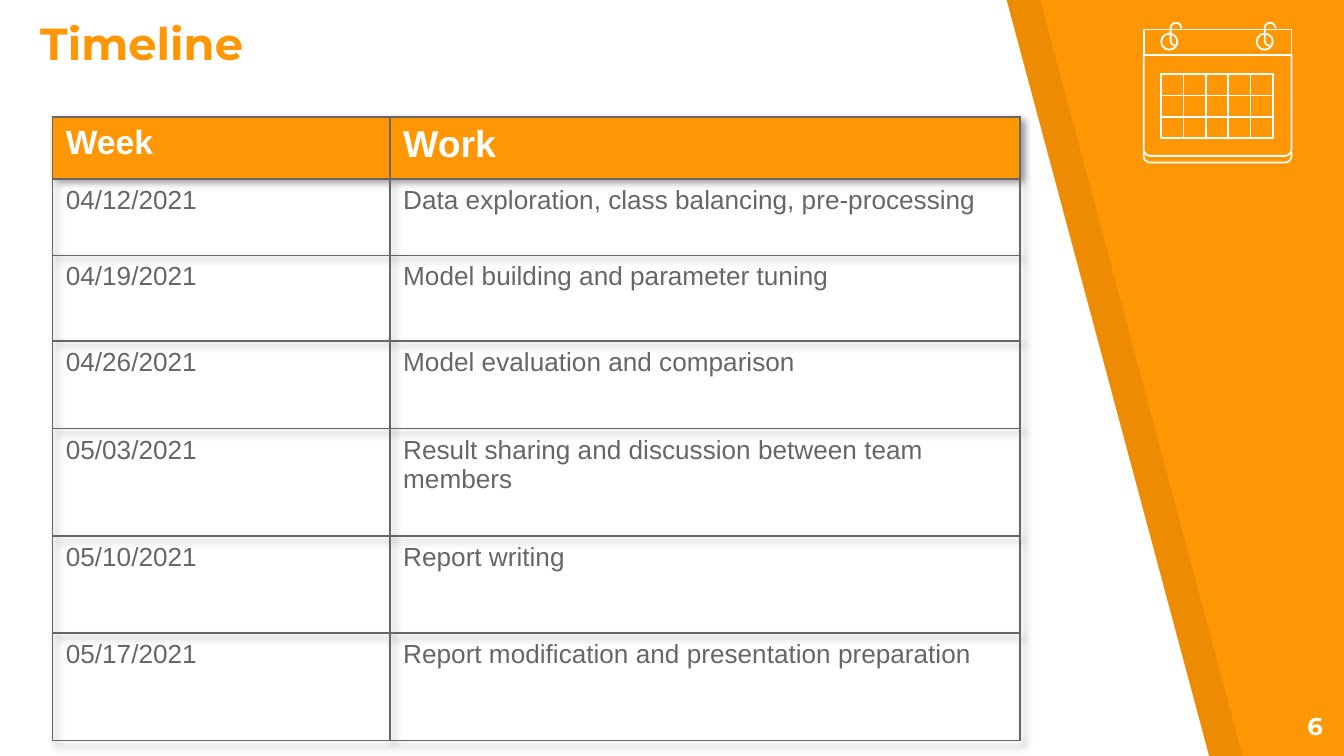
import math

import pptx
import pptx.dml.color
import pptx.enum.shapes
import pptx.enum.text
import pptx.oxml
import pptx.oxml.ns
import pptx.util

Inches, Pt = pptx.util.Inches, pptx.util.Pt
RGBColor = pptx.dml.color.RGBColor
MSO_SHAPE = pptx.enum.shapes.MSO_SHAPE
STRAIGHT = pptx.enum.shapes.MSO_CONNECTOR.STRAIGHT
ANCHOR = pptx.enum.text.MSO_ANCHOR
ALIGN = pptx.enum.text.PP_ALIGN

TITLE = "Timeline"
PAGE_NUMBER = "6"
HEADER = (("Week", 18), ("Work", 20))
SCHEDULE = [
    ("04/12/2021", "Data exploration, class balancing, pre-processing"),
    ("04/19/2021", "Model building and parameter tuning"),
    ("04/26/2021", "Model evaluation and comparison"),
    ("05/03/2021", "Result sharing and discussion between team members"),
    ("05/10/2021", "Report writing"),
    ("05/17/2021", "Report modification and presentation preparation"),
]
COLUMN_WIDTHS = (2.51, 4.69)
ROW_HEIGHTS = (0.46, 0.57, 0.64, 0.65, 0.8, 0.72, 0.8)

ORANGE = RGBColor(0xFF, 0x97, 0x04)
WHITE = RGBColor(0xFF, 0xFF, 0xFF)
BLACK = RGBColor(0x00, 0x00, 0x00)
GRAY = RGBColor(0x66, 0x66, 0x66)

SLIDE_W = 10
SLIDE_H = SLIDE_W * 9 / 16
ICON_LINE = Pt(0.96)
NS = pptx.oxml.ns.nsdecls("a")


def outline(shapes, points, close=False):
    """Build a freeform through points given in inches."""
    points = [(Inches(x), Inches(y)) for x, y in points]
    builder = shapes.build_freeform(*points[0])
    builder.add_line_segments(points[1:], close=close)
    shape = builder.convert_to_shape()
    shape.shadow.inherit = False
    return shape


def arc(cx, cy, radius, start, end, steps=10):
    """Points from start to end degrees; angles grow clockwise from the right."""
    angles = [math.radians(start + (end - start) * i / steps) for i in range(steps + 1)]
    return [(cx + radius * math.cos(a), cy + radius * math.sin(a)) for a in angles]


def icon_style(shape):
    shape.fill.background()
    shape.line.color.rgb = WHITE
    shape.line.width = ICON_LINE


def icon_line(shapes, x1, y1, x2, y2):
    line = shapes.add_connector(STRAIGHT, Inches(x1), Inches(y1), Inches(x2), Inches(y2))
    line.line.color.rgb = WHITE
    line.line.width = ICON_LINE
    line._element.spPr.append(pptx.oxml.parse_xml(f"<a:effectLst {NS}/>"))


def format_text(paragraph, font_name, size, color, bold=False):
    font = paragraph.runs[0].font
    font.name, font.size, font.bold = font_name, Pt(size), bold
    font.color.rgb = color


def add_label(slide, text, box, size, color, align=ALIGN.LEFT, anchor=ANCHOR.TOP):
    frame = slide.shapes.add_textbox(*map(Inches, box)).text_frame
    frame.word_wrap = True
    frame.vertical_anchor = anchor
    frame.margin_left = frame.margin_right = Inches(0.1)
    frame.margin_top = frame.margin_bottom = Inches(0.1)
    frame.text = text
    frame.paragraphs[0].alignment = align
    format_text(frame.paragraphs[0], "Montserrat", size, color, True)


def add_backdrop(slide):
    slide.background.fill.solid()
    slide.background.fill.fore_color.rgb = ORANGE
    for left, color in ((0.25, BLACK), (0, WHITE)):
        corners = [(left, -0.01), (left, 5.64), (left + 9, 5.64), (left + 7.49, 0)]
        panel = outline(slide.shapes, corners, close=True)
        panel.fill.solid()
        panel.fill.fore_color.rgb = color
        panel.line.fill.background()
        if color == BLACK:
            srgb = panel._element.spPr.find(".//" + pptx.oxml.ns.qn("a:srgbClr"))
            srgb.append(pptx.oxml.parse_xml(f'<a:alpha {NS} val="7000"/>'))


def add_calendar(slide):
    shapes = slide.shapes.add_group_shape().shapes
    left, right, top, fold, corner = 8.51, 9.61, 0.22, 0.41, 0.05

    def rounded_bottom(bottom):
        return (arc(left + corner, bottom - corner, corner, 180, 90)
                + arc(right - corner, bottom - corner, corner, 90, 0))

    icon_style(outline(shapes, [(left, fold), (left, top), (right, top), (right, fold)]))
    icon_style(outline(shapes, [(left, fold), *rounded_bottom(1.16), (right, fold)], close=True))
    icon_style(outline(shapes, [(left, 1.13), *rounded_bottom(1.21), (right, 1.13)]))

    for ring_x, hook_x in ((8.64, 8.75), (9.35, 9.45)):
        ring = shapes.add_shape(MSO_SHAPE.OVAL, *map(Inches, (ring_x, 0.25, 0.12, 0.12)))
        ring.shadow.inherit = False
        icon_style(ring)
        hook = arc(hook_x, 0.3, 0.04, 90, 180) + arc(hook_x, 0.21, 0.04, 180, 360)
        icon_style(outline(shapes, hook))

    grid_x, grid_y, grid_w, grid_h, columns, rows = 8.64, 0.55, 0.83, 0.48, 5, 3
    grid = shapes.add_shape(MSO_SHAPE.RECTANGLE, *map(Inches, (grid_x, grid_y, grid_w, grid_h)))
    grid.shadow.inherit = False
    icon_style(grid)
    for row in range(1, rows):
        y = grid_y + grid_h * row / rows
        icon_line(shapes, grid_x, y, grid_x + grid_w, y)
    for column in range(1, columns):
        x = grid_x + grid_w * column / columns
        icon_line(shapes, x, grid_y, x, grid_y + grid_h)


def add_borders(cell):
    properties = cell._tc.get_or_add_tcPr()
    for index, side in enumerate(("lnL", "lnR", "lnT", "lnB")):
        properties.insert(index, pptx.oxml.parse_xml(
            f'<a:{side} {NS} w="{Pt(1)}"><a:solidFill><a:srgbClr val="{GRAY}"/>'
            f"</a:solidFill></a:{side}>"))


def add_schedule(slide):
    frame = slide.shapes.add_table(
        len(ROW_HEIGHTS), len(COLUMN_WIDTHS), Inches(0.39), Inches(0.87),
        Inches(sum(COLUMN_WIDTHS)), Inches(sum(ROW_HEIGHTS)))
    table = frame.table
    table.horz_banding = False
    table._tbl.tblPr.insert(0, pptx.oxml.parse_xml(
        f'<a:effectLst {NS}><a:outerShdw blurRad="50800" dist="38100" dir="2700000">'
        '<a:srgbClr val="000000"><a:alpha val="40000"/></a:srgbClr>'
        "</a:outerShdw></a:effectLst>"))
    for column, width in zip(table.columns, COLUMN_WIDTHS):
        column.width = Inches(width)
    for row, height in zip(table.rows, ROW_HEIGHTS):
        row.height = Inches(height)

    body = [[(text, 14) for text in entry] for entry in SCHEDULE]
    for r, entry in enumerate([HEADER, *body]):
        is_header = r == 0
        for c, (text, size) in enumerate(entry):
            cell = table.cell(r, c)
            cell.text = text
            format_text(cell.text_frame.paragraphs[0], "Arial", size,
                        WHITE if is_header else GRAY, is_header)
            if is_header:
                cell.fill.solid()
                cell.fill.fore_color.rgb = ORANGE
            else:
                cell.fill.background()
            add_borders(cell)


def main():
    deck = pptx.Presentation()
    deck.slide_width, deck.slide_height = Inches(SLIDE_W), Inches(SLIDE_H)
    slide = deck.slides.add_slide(deck.slide_layouts[6])
    add_backdrop(slide)
    add_label(slide, TITLE, (0.2, 0.17, 5.25, 0.45), 24, ORANGE, anchor=ANCHOR.BOTTOM)
    add_label(slide, PAGE_NUMBER, (9.34, 5.19, 0.6, 0.43), 13, WHITE, align=ALIGN.RIGHT)
    add_calendar(slide)
    add_schedule(slide)
    deck.save("out.pptx")


if __name__ == "__main__":
    main()
